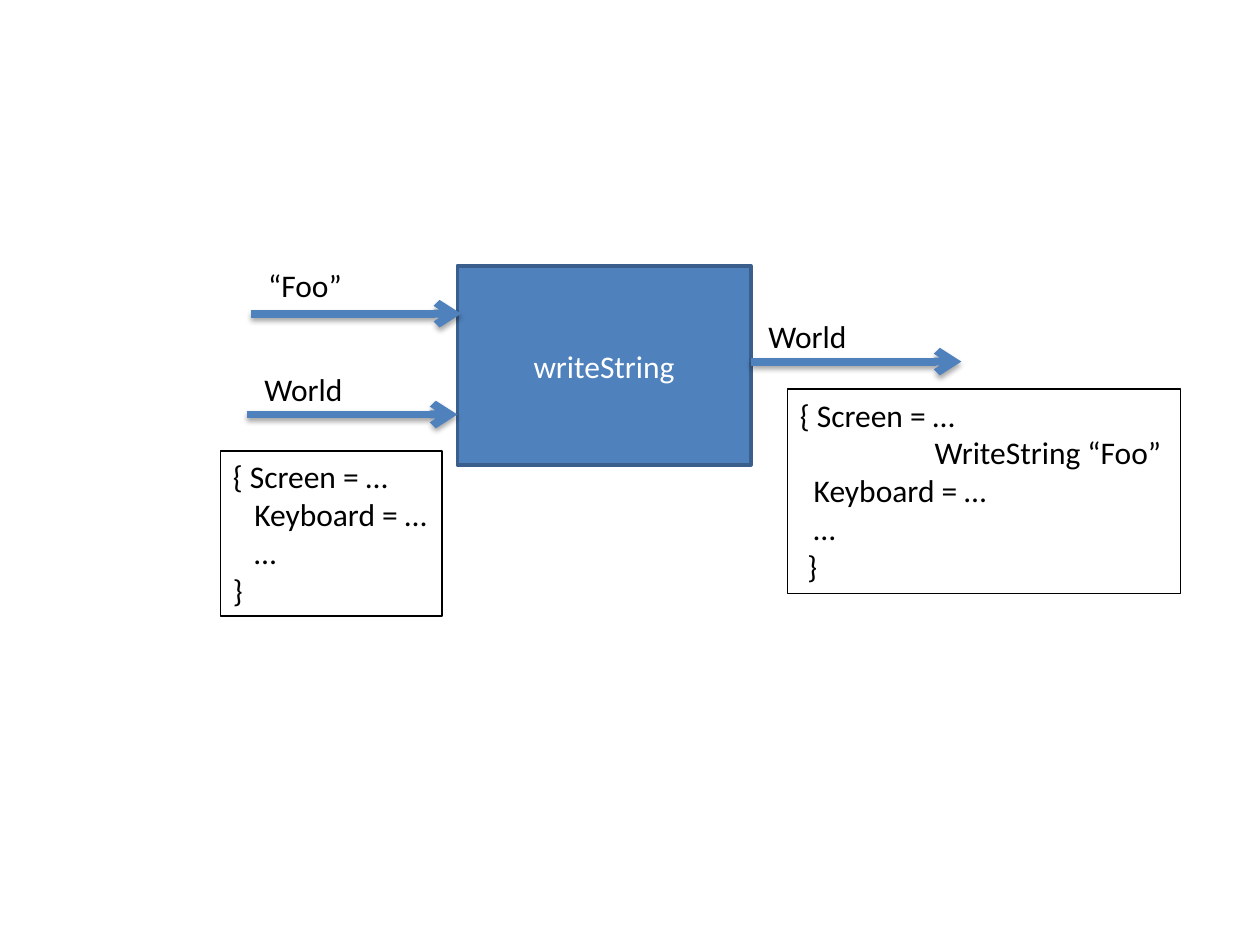
import pptx
import pptx.util
import pptx.dml.color
import pptx.enum.shapes
import pptx.enum.text
import pptx.oxml
import pptx.oxml.ns

Inches = pptx.util.Inches
Pt = pptx.util.Pt
BLUE, EDGE, BLACK, WHITE = "4F81BD", "3A5F8C", "000000", "FFFFFF"
SHADOW = (
    "<a:effectLst %s>"
    '<a:outerShdw blurRad="40000" dist="23000" dir="5400000" rotWithShape="0">'
    '<a:srgbClr val="000000"><a:alpha val="35000"/></a:srgbClr>'
    "</a:outerShdw></a:effectLst>" % pptx.oxml.ns.nsdecls("a")
)
ARROWHEAD = '<a:tailEnd %s type="arrow"/>' % pptx.oxml.ns.nsdecls("a")


def color(hex_code):
    """Return the RGB colour for a hex string."""
    return pptx.dml.color.RGBColor.from_string(hex_code)


def write_lines(frame, lines, ink):
    """Fill a text frame with (indent in inches, text) lines."""
    for number, (indent, text) in enumerate(lines):
        paragraph = frame.add_paragraph() if number else frame.paragraphs[0]
        paragraph.text = text
        paragraph.alignment = pptx.enum.text.PP_ALIGN.LEFT
        paragraph.font.size = Pt(18)
        paragraph.font.name = "Calibri"
        paragraph.font.color.rgb = color(ink)
        if indent:
            paragraph._p.get_or_add_pPr().set("marL", str(Inches(indent)))


def add_box(slide, box, lines, fill, edge, weight, ink):
    """Draw a filled and outlined rectangle with text, returning its text frame."""
    rectangle = slide.shapes.add_shape(
        pptx.enum.shapes.MSO_SHAPE.RECTANGLE, *map(Inches, box))
    rectangle.shadow.inherit = False
    rectangle.fill.solid()
    rectangle.fill.fore_color.rgb = color(fill)
    rectangle.line.color.rgb = color(edge)
    rectangle.line.width = Pt(weight)
    write_lines(rectangle.text_frame, lines, ink)
    return rectangle.text_frame


def add_function(slide, box, name):
    """Draw the function block with its centred name."""
    frame = add_box(slide, box, [(0, name)], BLUE, EDGE, 2, WHITE)
    frame.vertical_anchor = pptx.enum.text.MSO_ANCHOR.MIDDLE
    frame.paragraphs[0].alignment = pptx.enum.text.PP_ALIGN.CENTER


def add_state(slide, box, lines):
    """Draw a world state record in an outlined box."""
    frame = add_box(slide, box, lines, WHITE, BLACK, 1, BLACK)
    frame.vertical_anchor = pptx.enum.text.MSO_ANCHOR.TOP
    frame.word_wrap = False
    frame.auto_size = pptx.enum.text.MSO_AUTO_SIZE.SHAPE_TO_FIT_TEXT


def add_flow(slide, start, y, label, label_box):
    """Draw a value arrow with a label placed relative to its start."""
    arrow = slide.shapes.add_connector(
        pptx.enum.shapes.MSO_CONNECTOR.STRAIGHT,
        Inches(start), Inches(y), Inches(start + 1.67), Inches(y))
    arrow.line.color.rgb = color(BLUE)
    arrow.line.width = Pt(4.5)
    arrow.line._get_or_add_ln().append(pptx.oxml.parse_xml(ARROWHEAD))
    arrow._element.spPr.append(pptx.oxml.parse_xml(SHADOW))
    dx, dy, width = label_box
    caption = slide.shapes.add_textbox(
        Inches(start + dx), Inches(y + dy), Inches(width), Inches(0.4))
    caption.text_frame.word_wrap = False
    caption.text_frame.auto_size = pptx.enum.text.MSO_AUTO_SIZE.SHAPE_TO_FIT_TEXT
    write_lines(caption.text_frame, [(0, label)], BLACK)


def build_slide(deck):
    """Lay out the function, its inputs and its output."""
    slide = deck.slides.add_slide(deck.slide_layouts[6])
    add_function(slide, (3.63, 2.11, 2.33, 1.58), "writeString")
    add_flow(slide, 1.99, 2.49, "“Foo”", (0.04, -0.43, 0.79))
    for start, y in ((1.96, 3.29), (5.96, 2.87)):
        add_flow(slide, start, y, "World", (0.04, -0.4, 0.83))
    add_state(slide, (1.75, 3.58, 1.76, 1.31), [
        (0, "{ Screen = …"), (0.17, "Keyboard = …"), (0.17, "…"), (0, "}")])
    add_state(slide, (6.25, 3.09, 3.12, 1.62), [
        (0, "{ Screen = …"), (1.07, "WriteString “Foo”"),
        (0.11, "Keyboard = …"), (0.11, "…"), (0.06, "}")])


deck = pptx.Presentation()
deck.slide_width, deck.slide_height = Inches(10), Inches(7.5)
build_slide(deck)
deck.save("out.pptx")
